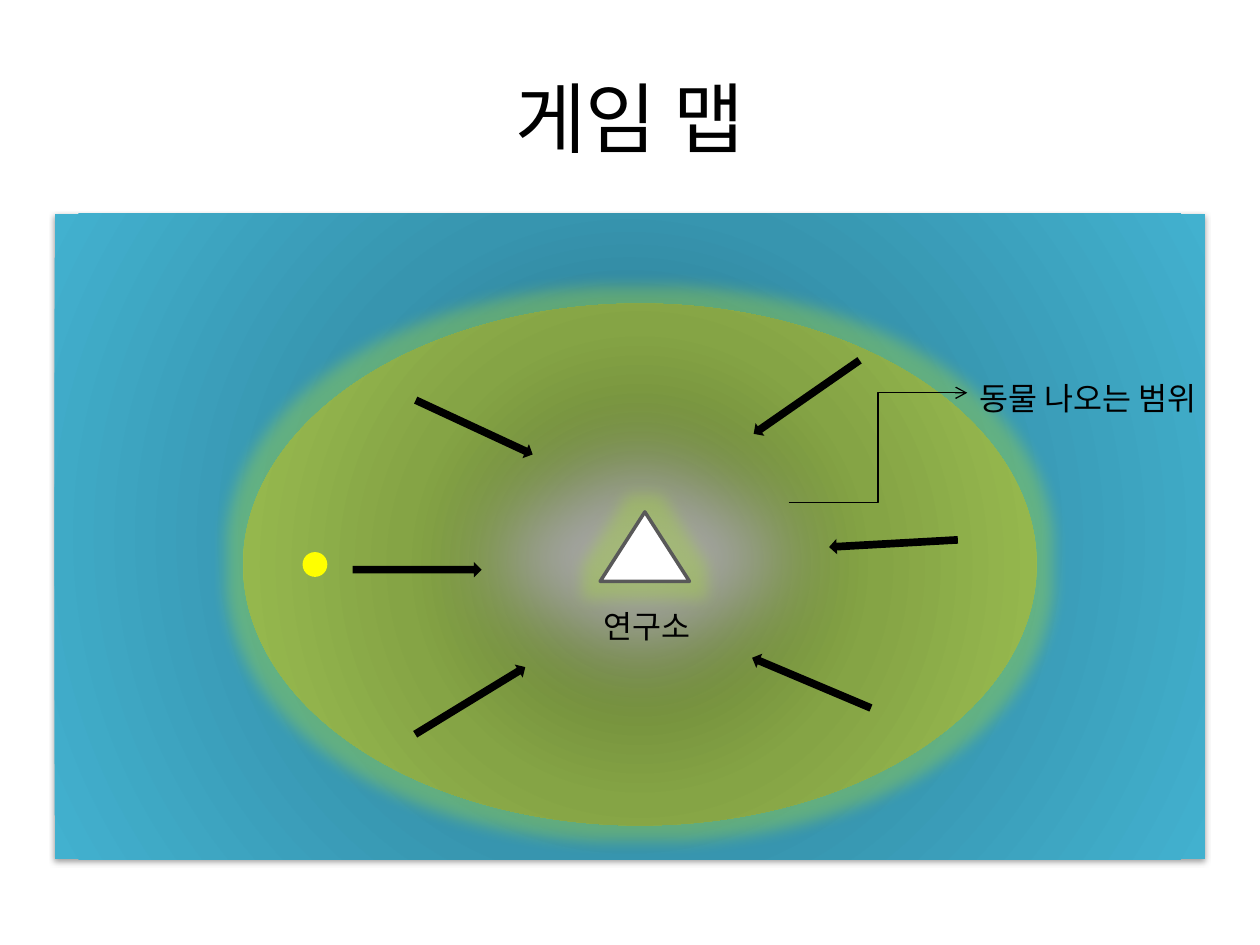
from typing import NamedTuple

from lxml.etree import SubElement
from pptx import Presentation
from pptx.dml.color import RGBColor
from pptx.enum.shapes import MSO_CONNECTOR, MSO_SHAPE as Preset
from pptx.enum.text import MSO_ANCHOR, MSO_AUTO_SIZE, PP_ALIGN
from pptx.oxml import parse_xml
from pptx.oxml.ns import nsdecls, qn
from pptx.util import Cm, Pt

FONT = "Noto Sans CJK KR"
COLOURS = {
    "ink": "000000", "sea_in": "27697B", "sea_mid": "3795AF", "sea_out": "42B1CF",
    "land_in": "5D7330", "land_mid": "85A445", "land_out": "9EC252",
    "range": "A6A6A6", "lab": "FFFFFF", "lab_edge": "595959",
    "player": "FFFF00", "glow": "A3D53B",
}


class Box(NamedTuple):
    """Left, top, width and height in centimetres."""
    left: float
    top: float
    width: float
    height: float

    def lengths(self) -> list:
        return [Cm(value) for value in self]


class Route(NamedTuple):
    """Arrow towards the laboratory: left, top, clockwise turn."""
    left: float
    top: float
    turn: float


ROUTES = [
    Route(7.11, 11.33, 0), Route(8.18, 13.97, 328.6), Route(8.26, 8.46, 24.9),
    Route(16.71, 10.8, 176.8), Route(15.06, 13.61, 202.9), Route(14.96, 7.85, 145.2),
]


def rgb(name: str) -> RGBColor:
    return RGBColor.from_string(COLOURS[name])


def add_area(preset: Preset, box: Box, fill: str):
    area = slide.shapes.add_shape(preset, *box.lengths())
    area.shadow.inherit = False
    area.fill.solid()
    area.fill.fore_color.rgb = rgb(fill)
    area.line.fill.background()
    return area


def fill_radially(area, names: list[str]) -> None:
    """Spread the named colours evenly from the centre outwards."""
    step = 100000 // (len(names) - 1)
    stops = "".join(f'<a:gs pos="{i * step}"><a:srgbClr val="{COLOURS[name]}"/></a:gs>'
                    for i, name in enumerate(names))
    properties = area._element.spPr
    properties.replace(properties.find(qn("a:solidFill")), parse_xml(
        f'<a:gradFill {nsdecls("a")} rotWithShape="1"><a:gsLst>{stops}</a:gsLst>'
        '<a:path path="circle"><a:fillToRect l="50000" t="50000" r="50000" b="50000"/>'
        '</a:path></a:gradFill>'))


def add_effect(area, kind: str, colour: str = "", alpha: int = 0, **settings) -> None:
    effects = area._element.spPr.find(qn("a:effectLst"))
    effect = SubElement(effects, qn(f"a:{kind}"),
                        {key: str(value) for key, value in settings.items()})
    if colour:
        tint = SubElement(effect, qn("a:srgbClr"), val=COLOURS[colour])
        SubElement(tint, qn("a:alpha"), val=str(alpha * 1000))


def add_run(paragraph, text: str, size: int) -> None:
    run = paragraph.add_run()
    run.text = text
    run.font.size = Pt(size)
    run.font.name = FONT
    run.font.color.rgb = rgb("ink")
    SubElement(run._r.get_or_add_rPr(), qn("a:ea"), typeface=FONT)


def add_label(text: str, box: Box) -> None:
    frame = slide.shapes.add_textbox(*box.lengths()).text_frame
    frame.word_wrap = False
    frame.auto_size = MSO_AUTO_SIZE.SHAPE_TO_FIT_TEXT
    add_run(frame.paragraphs[0], text, 18)


prs = Presentation()
prs.slide_width, prs.slide_height = Cm(25.4), Cm(19.05)
slide = prs.slides.add_slide(prs.slide_layouts[5])

# Title
title = slide.shapes.title
title.left, title.top, title.width, title.height = Box(1.27, 0.76, 22.86, 3.18).lengths()
title.text_frame.vertical_anchor = MSO_ANCHOR.MIDDLE
heading = title.text_frame.paragraphs[0]
heading.alignment = PP_ALIGN.CENTER
add_run(heading, "게임 맵", 44)

# Sea, island and the range where animals appear
sea = add_area(Preset.RECTANGLE, Box(1.1, 4.31, 23.19, 13.01), "sea_mid")
fill_radially(sea, ["sea_in", "sea_mid", "sea_out"])
add_effect(sea, "outerShdw", "ink", 38, blurRad=Pt(3.1), dist=Pt(1.6),
           dir=5400000, rotWithShape=0)
island = add_area(Preset.OVAL, Box(4.9, 6.12, 16, 10.52), "land_mid")
fill_radially(island, ["land_in", "land_mid", "land_out"])
add_effect(island, "glow", "glow", 40, rad=Pt(18))
animal_range = add_area(Preset.OVAL, Box(7.5, 7.32, 10.8, 7.8), "range")
add_effect(animal_range, "softEdge", rad=Pt(50))

# Laboratory
lab = add_area(Preset.ISOSCELES_TRIANGLE, Box(12.1, 10.32, 1.8, 1.4), "lab")
lab.line.color.rgb = rgb("lab_edge")
lab.line.width = Pt(2)
SubElement(lab.line._get_or_add_ln(), qn("a:round"))
add_effect(lab, "glow", "glow", 40, rad=Pt(18))
add_label("연구소", Box(11.91, 12.12, 2.44, 1.02))

# Pointer from the range to its label
pointer = slide.shapes.add_connector(
    MSO_CONNECTOR.ELBOW, Cm(15.9), Cm(10.13), Cm(19.5), Cm(7.92))
pointer.line.color.rgb = rgb("ink")
pointer.line.width = Pt(0.75)
SubElement(pointer.line._get_or_add_ln(), qn("a:tailEnd"), type="arrow")
SubElement(pointer._element.spPr, qn("a:effectLst"))
add_label("동물 나오는 범위", Box(19.5, 7.52, 5.46, 1.02))

# Player and the routes to the laboratory
add_area(Preset.OVAL, Box(6.1, 11.13, 0.5, 0.5), "player")
for route in ROUTES:
    arrow = add_area(Preset.RIGHT_ARROW, Box(route.left, route.top, 2.6, 0.31), "ink")
    arrow.rotation = route.turn

prs.save("out.pptx")
